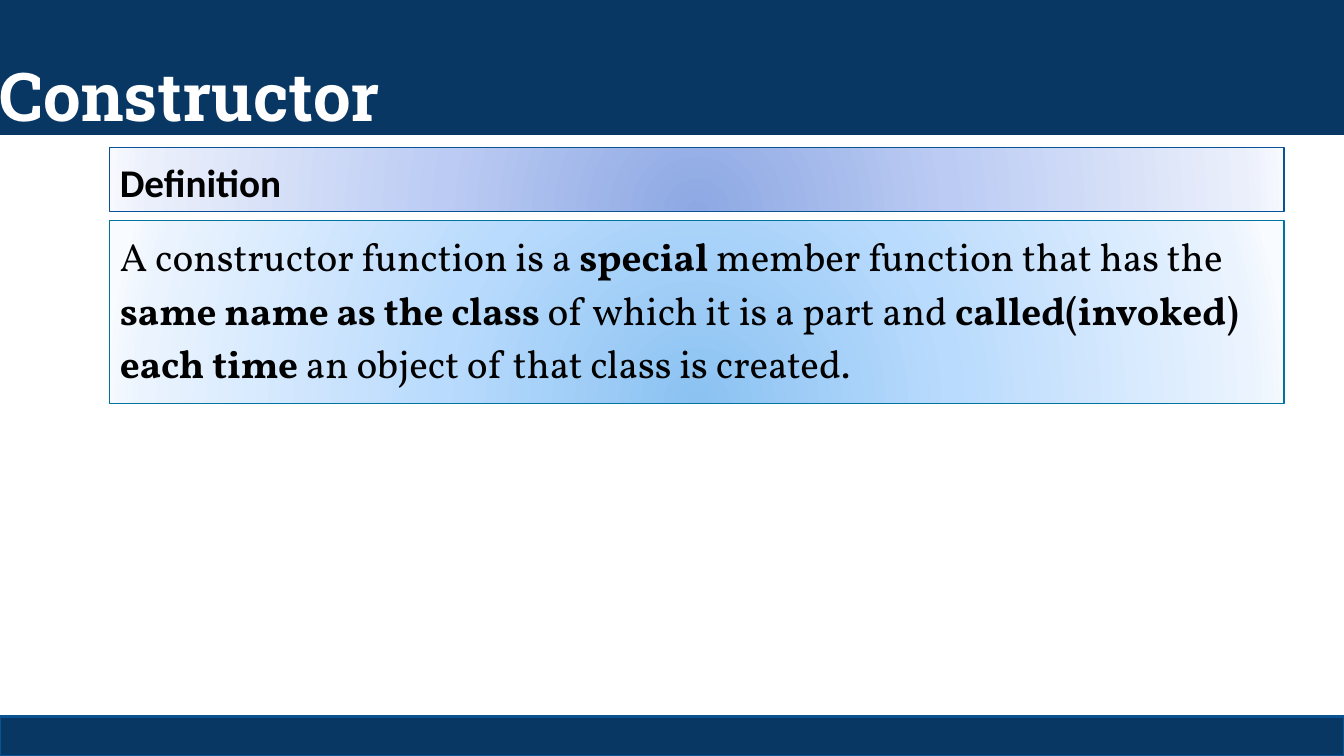
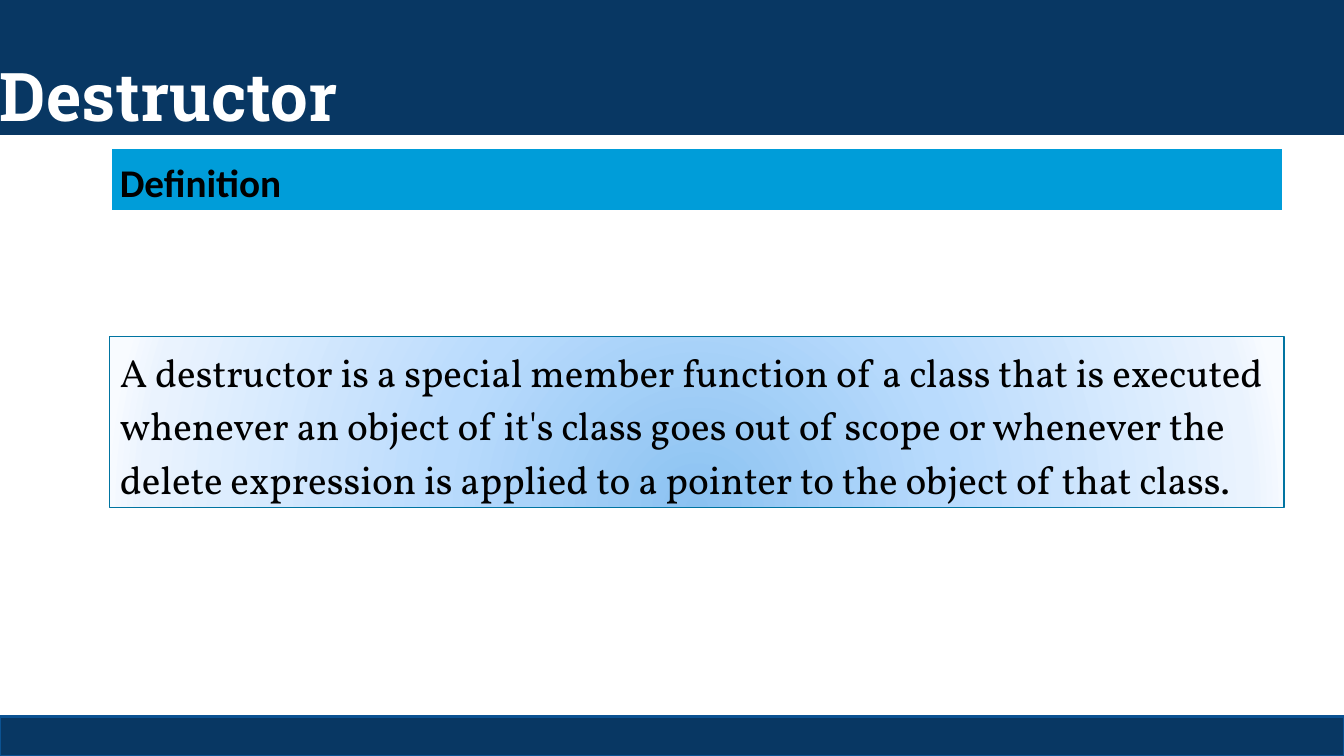
from lxml.etree import SubElement
from pptx import Presentation
from pptx.dml.color import RGBColor
from pptx.enum.shapes import MSO_SHAPE
from pptx.enum.text import MSO_ANCHOR, PP_ALIGN
from pptx.oxml import parse_xml
from pptx.oxml.ns import nsdecls, qn
from pptx.util import Cm, Pt

HUES = {
    "navy": "083763", "rim": "0B5292", "edge": "095295", "teal": "0074A1",
    "cyan": "009DD9", "white": "FFFFFF", "black": "000000",
}
# Radial fills: colours from the centre outwards
GLOWS = {
    "violet": ["8DA8E3", "BBCBF3", "EAEFFB", "F7F9FF"],
    "sky": ["8BC2F1", "B9DBFD", "EAF3FE", "F8FBFF"],
}
STOPS = [0, 43, 93, 100]
WIDE, HIGH = 33.87, 19.05
LEFT, SPAN = 2.77, 29.59


def add_box(slide, left, top, wide, high, fill, line=None, weight=0.75):
    box = slide.shapes.add_shape(
        MSO_SHAPE.RECTANGLE, Cm(left), Cm(top), Cm(wide), Cm(high))
    box.shadow.inherit = False
    if fill in GLOWS:
        grad = parse_xml(
            f'<a:gradFill {nsdecls("a")} rotWithShape="1"><a:gsLst/>'
            '<a:path path="circle"><a:fillToRect l="50000" t="130000" '
            'r="50000" b="-30000"/></a:path></a:gradFill>')
        for stop, hue in zip(STOPS, GLOWS[fill]):
            mark = SubElement(grad[0], qn("a:gs"), pos=str(stop * 1000))
            SubElement(mark, qn("a:srgbClr"), val=hue)
        box.element.spPr.insert(2, grad)
    else:
        box.fill.solid()
        box.fill.fore_color.rgb = RGBColor.from_string(HUES[fill])
    if line:
        box.line.color.rgb = RGBColor.from_string(HUES[line])
        box.line.width = Pt(weight)
    else:
        box.line.fill.background()
    return box


def add_text(box, *parts, font, size=28, hue="black", bold=False,
             anchor=MSO_ANCHOR.TOP, pitch=1.14, before=0):
    """Write the parts as runs; every second part flips the bold setting."""
    frame = box.text_frame
    frame.word_wrap = True
    frame.vertical_anchor = anchor
    para = frame.paragraphs[0]
    para.alignment = PP_ALIGN.LEFT
    para.line_spacing = pitch
    para.space_before = Pt(before)
    for i, part in enumerate(parts):
        run = para.add_run()
        run.text = part
        run.font.name = font
        run.font.size = Pt(size)
        run.font.bold = bold != (i % 2 == 1)
        run.font.color.rgb = RGBColor.from_string(HUES[hue])


pages = [
    {
        "title": "Constructor",
        "head": ("violet", "edge", 0.75),
        "top": 5.56, "high": 4.6,
        "body": [
            "A constructor function is a ", "special",
            " member function that has the ", "same name as the class ",
            "of which it is a part and ", "called(invoked) each time ",
            "an object of that class is created.",
        ],
    },
    {
        "title": "Destructor",
        "head": ("cyan", "white", 3),
        "top": 8.48, "high": 4.32,
        "body": [
            "A destructor is a special member function of a class that is "
            "executed whenever an object of it's class goes out of scope or "
            "whenever the delete expression is applied to a pointer to the "
            "object of that class.",
        ],
    },
]

deck = Presentation()
deck.slide_width, deck.slide_height = Cm(WIDE), Cm(HIGH)

for page in pages:
    slide = deck.slides.add_slide(deck.slide_layouts[6])

    # Title band
    band = add_box(slide, 0, 0, WIDE, 3.4, "navy")
    frame = band.text_frame
    frame.margin_left = frame.margin_right = frame.margin_bottom = 0
    add_text(band, page["title"], font="Roboto Slab", size=48, hue="white",
             bold=True, anchor=MSO_ANCHOR.BOTTOM, pitch=1.0)

    # Footer band
    add_box(slide, 0, 18.06, WIDE, HIGH - 18.06, "navy", "rim", 2)

    # Heading
    head = add_box(slide, LEFT, 3.71, SPAN, 1.63, *page["head"])
    add_text(head, "Definition", font="Calibri", bold=True, before=10)

    # Definition
    body = add_box(slide, LEFT, page["top"], SPAN, page["high"], "sky", "teal")
    add_text(body, *page["body"], font="Vollkorn")

deck.save("out.pptx")
